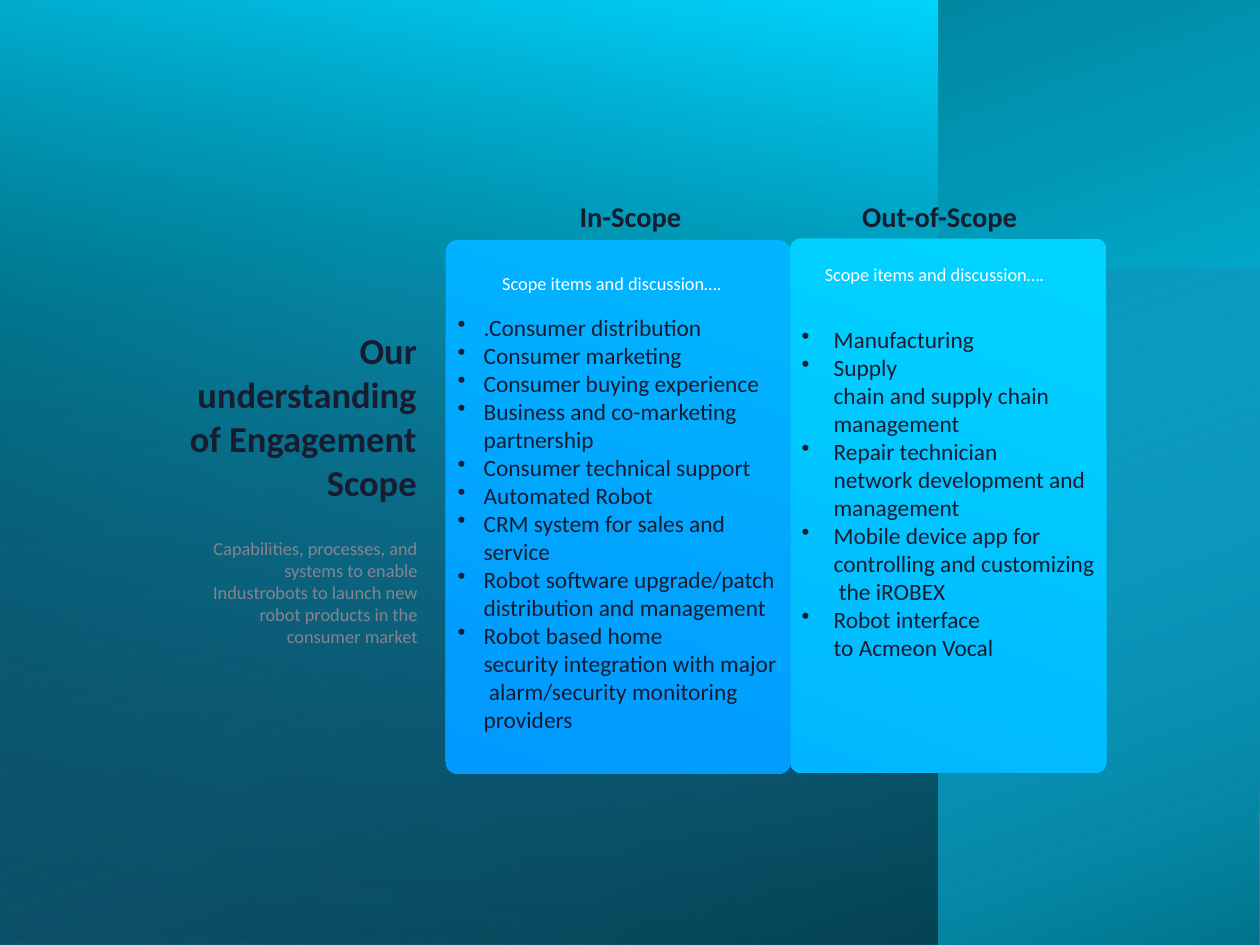
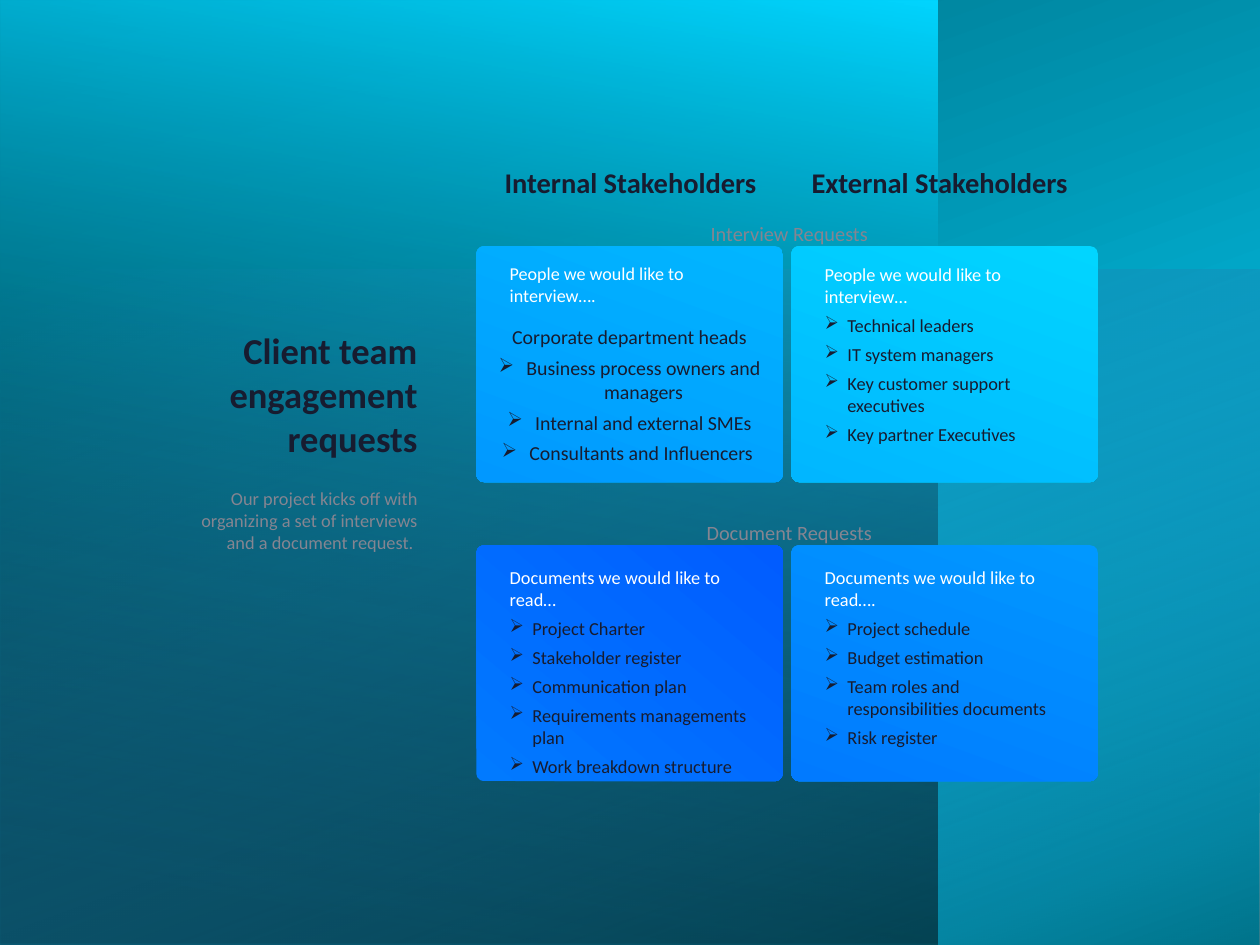
from lxml.etree import SubElement
from pptx import Presentation
from pptx.dml.color import RGBColor
from pptx.enum.shapes import MSO_SHAPE as Shape
from pptx.enum.text import MSO_ANCHOR as Anchor, PP_ALIGN as Align
from pptx.oxml.ns import qn
from pptx.util import Inches, Pt

FONT = "Calibri"
INK, GREY, WHITE = "171C30", "858591", "FFFFFF"
CYAN, SKY, AZURE, BLUE, ROYAL = "01D5FF", "01B6FF", "0198FF", "017AFF", "015CFF"
BODY = 15.7
COLUMNS = (5.67, 9.42)
ROWS = (2.93, 6.49)
CARD_SIZE = (3.65, 2.81)
ARROW = dict(bullet="➢", indent=0.27, after=6)
NBSP = chr(160)

# A tilde in the wording stands for a space that must not break.
IN_SCOPE = [
    ".Consumer distribution",
    "Consumer marketing",
    "Consumer buying experience",
    "Business and co-marketing partnership",
    "Consumer~technical~support~",
    "Automated~Robot",
    "CRM~system for sales and service",
    "Robot~software upgrade/patch distribution and management",
    "Robot based~home security~integration~with~major~alarm/security~monitoring providers",
]
OUT_OF_SCOPE = [
    "Manufacturing",
    "Supply chain~and~supply~chain management",
    "Repair~technician network~development~and management",
    "Mobile device app for controlling~and~customizing~the~iROBEX",
    "Robot interface to~Acmeon~Vocal",
]
INTERNAL_PEOPLE = [
    "Business process owners and managers",
    "Internal and external~SMEs",
    "Consultants~and~Influencers~",
]
EXTERNAL_PEOPLE = [
    "Technical leaders",
    "IT~system managers",
    "Key~customer support executives",
    "Key partner~Executives",
]
INTERNAL_DOCUMENTS = [
    "Project~Charter",
    "Stakeholder register",
    "Communication plan",
    "Requirements~managements plan",
    "Work breakdown structure",
]
EXTERNAL_DOCUMENTS = [
    "Project schedule",
    "Budget estimation",
    "Team roles and responsibilities~documents",
    "Risk register",
]


def rgb(hex_color):
    return RGBColor.from_string(hex_color)


def write(frame, text, size=BODY, color=INK, bold=False, align=Align.LEFT,
          after=0, bullet=None, indent=0):
    """Add one paragraph to the frame, using its empty first one if there is one."""
    first = frame.paragraphs[0]
    paragraph = frame.add_paragraph() if first.runs else first
    paragraph.alignment = align
    paragraph.space_after = Pt(after)
    run = paragraph.add_run()
    run.text = text.replace("~", NBSP)
    run.font.name, run.font.size, run.font.bold = FONT, Pt(size), bold
    run.font.color.rgb = rgb(color)
    if bullet:
        properties = paragraph._p.get_or_add_pPr()
        properties.set("marL", str(Inches(indent)))
        properties.set("indent", str(-Inches(indent)))
        SubElement(properties, qn("a:buChar")).set("char", bullet)


def write_list(frame, items, **style):
    for item in items:
        write(frame, item, **style)


def text_area(slide, left, top, width, height):
    box = slide.shapes.add_textbox(*map(Inches, (left, top, width, height)))
    box.text_frame.word_wrap = True
    return box.text_frame


def label(slide, box, text, **style):
    frame = text_area(slide, *box)
    write(frame, text, after=6, **style)
    return frame


def gradient_shape(slide, kind, box, stops, angle):
    """Draw a borderless shape; a stop is (position, colour, opacity in percent)."""
    shape = slide.shapes.add_shape(kind, *map(Inches, box))
    shape.shadow.inherit = False
    shape.line.fill.background()
    shape.fill.gradient()
    shape.fill.gradient_angle = 360 - angle
    for stop, (position, color, _) in zip(shape.fill.gradient_stops, stops):
        stop.position = position / 100
        stop.color.rgb = rgb(color)
    for node, (_, _, opacity) in zip(shape.element.iter(qn("a:srgbClr")), stops):
        if opacity < 100:
            SubElement(node, qn("a:alpha")).set("val", str(opacity * 1000))
    return shape


def backdrop_layer(slide, box, rotation, stops, angle):
    layer = gradient_shape(slide, Shape.RECTANGLE, box, stops, angle)
    layer.rotation = rotation
    layer.element.spPr.find(qn("a:xfrm")).set("flipH", "1")


def card(slide, box, start, end, angle=110, text_top=0.05):
    """Draw a rounded card and return its text frame, written from text_top down."""
    panel = gradient_shape(slide, Shape.ROUNDED_RECTANGLE, box,
                           [(0, start, 100), (100, end, 100)], angle)
    panel.adjustments[0] = 0.033
    frame = panel.text_frame
    frame.word_wrap = True
    frame.vertical_anchor = Anchor.TOP
    frame.margin_top = Inches(text_top)
    return frame


def themed_slide(deck, title, title_box, summary, summary_box, headings, heading_top):
    """Add a slide with the backdrop, the left-hand title and two column headings."""
    slide = deck.slides.add_slide(deck.slide_layouts[6])
    backdrop_layer(slide, (1.87, -1.87, 11.25, 15), 270,
                   [(8, CYAN, 100), (100, "006B80", 100)], 200)
    backdrop_layer(slide, (0, 0, 11.16, 11.25), 180,
                   [(8, "000000", 52), (100, CYAN, 100)], 80)
    backdrop_layer(slide, (3.49, -0.27, 8.03, 15), 270,
                   [(0, "679DFF", 0), (100, "000000", 46)], 20)
    label(slide, title_box, title, size=31.3, bold=True, align=Align.RIGHT)
    label(slide, summary_box, summary, color=GREY, align=Align.RIGHT)
    for left, heading in zip((5.87, 9.55), headings):
        label(slide, (left, heading_top, 3.27, 0.51), heading,
              size=24.4, bold=True, align=Align.CENTER)
    return slide


def scope_slide(deck):
    slide = themed_slide(
        deck, "Our understanding of Engagement Scope", (1.81, 3.86, 3.25, 2.21),
        "Capabilities, processes, and systems to enable Industrobots to launch "
        "new robot products in the consumer market", (2.25, 6.35, 2.82, 1.41),
        ("In-Scope", "Out-of-Scope"), 2.32)
    excluded = card(slide, (9.41, 2.84, 3.76, 6.36), CYAN, SKY, text_top=0.99)
    write_list(excluded, OUT_OF_SCOPE, size=20, bullet="•", indent=0.38)
    included = card(slide, (5.31, 2.86, 4.1, 6.35), SKY, AZURE, text_top=0.83)
    write_list(included, IN_SCOPE, size=20, bullet="•", indent=0.31)
    for left, top in ((5.88, 3.19), (9.72, 3.08)):
        label(slide, (left, top, 3.08, 0.36), "Scope items and discussion….", color=WHITE)


def request_card(slide, column, row, colors, intro, items, angle=110):
    left, top = COLUMNS[column], ROWS[row]
    card(slide, (left, top, *CARD_SIZE), *colors, angle=angle)
    text_top, text_height = ((3.08, 3.02), (6.69, 3.36))[row]
    frame = label(slide, (left + 0.3, text_top, 3.06, text_height), intro, color=WHITE)
    write_list(frame, items, **ARROW)


def requests_slide(deck):
    slide = themed_slide(
        deck, "Client team engagement requests", (2.07, 3.86, 3, 1.68),
        "Our project kicks off with organizing a set of interviews and a document request. ",
        (2.25, 5.75, 2.82, 0.88), ("Internal Stakeholders", "External Stakeholders"), 1.92)
    request_card(slide, 0, 1, (BLUE, ROYAL), "Documents we would like to read…",
                 INTERNAL_DOCUMENTS, angle=310)
    request_card(slide, 1, 1, (AZURE, BLUE), "Documents we would like to read….",
                 EXTERNAL_DOCUMENTS)
    request_card(slide, 1, 0, (CYAN, SKY), "People we would like to interview…",
                 EXTERNAL_PEOPLE)

    people = card(slide, (COLUMNS[0], ROWS[0], *CARD_SIZE), SKY, AZURE, text_top=0.91)
    centred = dict(size=17, align=Align.CENTER)
    write(people, "Corporate~department heads", after=6, **centred)
    write_list(people, INTERNAL_PEOPLE, **centred, **{**ARROW, "indent": 0.33})
    label(slide, (5.97, 3.08, 3.06, 0.97), "People we would like to interview….",
          size=15.5, color=WHITE)

    for top, caption in zip(ROWS, ("Interview Requests", "Document Requests")):
        label(slide, (5.97, top - 0.35, 6.85, 0.39), caption,
              size=17.4, color=GREY, align=Align.CENTER)


def main():
    deck = Presentation()
    deck.slide_width, deck.slide_height = Inches(15), Inches(11.25)
    scope_slide(deck)
    requests_slide(deck)
    deck.save("out.pptx")


if __name__ == "__main__":
    main()
